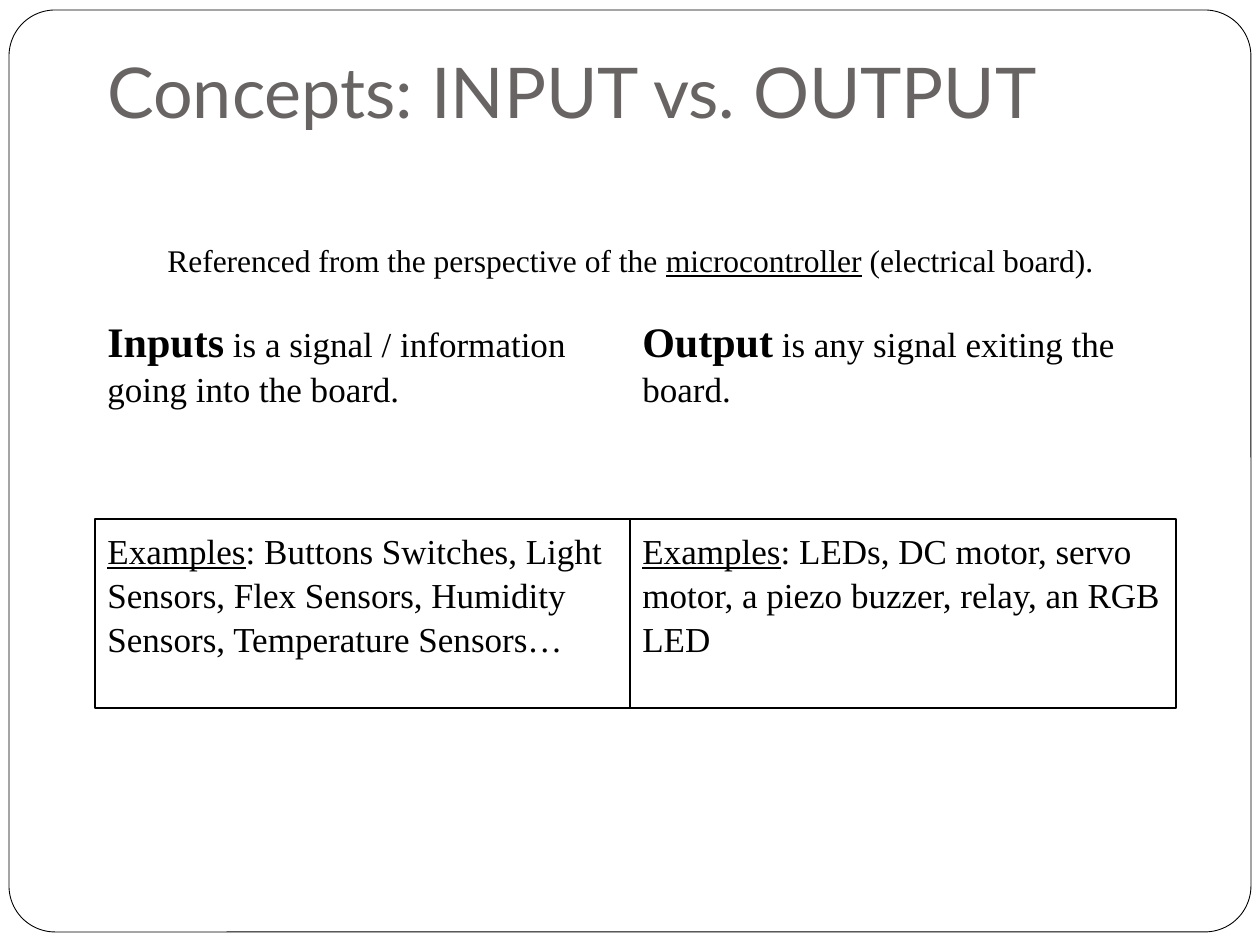
from pptx import Presentation
from pptx.dml.color import RGBColor
from pptx.enum.shapes import MSO_SHAPE
from pptx.enum.text import MSO_ANCHOR, PP_ALIGN
from pptx.util import Emu, Pt

PX = 914400 // 126
COLORS = {"title": "696464", "text": "000000", "line": "000000", "paper": "FFFFFF"}
SERIF = "Times New Roman"

# Content: runs of (text, format)
TITLE = [("Concepts: INPUT vs. OUTPUT", {"size": Pt(40), "name": "Lato"})]
INTRO = [
    ("Referenced from the perspective of the ", {"size": Pt(18)}),
    ("microcontroller", {"size": Pt(18), "underline": True}),
    (" (electrical board).", {"size": Pt(18)}),
]
# Columns: (term, definition, examples)
COLUMNS = [
    ("Inputs", " is a signal / information going into the board.",
     ": Buttons Switches, Light Sensors, Flex Sensors, Humidity Sensors, "
     "Temperature Sensors…"),
    ("Output", " is any signal exiting the board.",
     ": LEDs, DC motor, servo motor, a piezo buzzer, relay, an RGB LED"),
]

# Layout in px
LEFT, BODY_W = 95, 1071
COL_WIDTHS = (535, 546)
DEFINITION_Y, EXAMPLES_Y, ROW_H = 305, 519, 189


def rgb(key):
    return RGBColor.from_string(COLORS[key])


def px(*values):
    return [Emu(v * PX) for v in values]


def add_runs(s, runs, color="text", align=PP_ALIGN.LEFT, top=8, spacing=1.05):
    tf = s.text_frame
    tf.word_wrap = True
    tf.vertical_anchor = MSO_ANCHOR.TOP
    tf.margin_top = Emu(top * PX)
    p = tf.paragraphs[0]
    p.alignment = align
    p.line_spacing = spacing
    for text, fmt in runs:
        r = p.add_run()
        r.text = text
        for name, value in {"name": SERIF, **fmt}.items():
            setattr(r.font, name, value)
        r.font.color.rgb = rgb(color)


def add_box(slide, kind, box, line_width):
    s = slide.shapes.add_shape(kind, *px(*box))
    s.shadow.inherit = False
    s.line.color.rgb = rgb("line")
    s.line.width = Pt(line_width)
    return s


def main():
    prs = Presentation()
    prs.slide_width, prs.slide_height = px(1260, 945)
    slide = prs.slides.add_slide(prs.slide_layouts[6])

    # Rounded page frame
    frame = add_box(slide, MSO_SHAPE.ROUNDED_RECTANGLE, (9, 10, 1242, 922), 0.5)
    frame.adjustments[0] = 0.05
    frame.fill.solid()
    frame.fill.fore_color.rgb = rgb("paper")

    # Title and introduction
    title = slide.shapes.add_textbox(*px(LEFT, 42, BODY_W, 157))
    add_runs(title, TITLE, "title", top=6, spacing=1.0)
    intro = slide.shapes.add_textbox(*px(LEFT, 231, BODY_W, 609))
    add_runs(intro, INTRO, align=PP_ALIGN.CENTER)

    # Two columns: a definition above a bordered box of examples
    x = LEFT
    for (term, definition, examples), width in zip(COLUMNS, COL_WIDTHS):
        s = slide.shapes.add_textbox(*px(x, DEFINITION_Y, width, ROW_H))
        add_runs(s, [(term, {"size": Pt(24), "bold": True}),
                     (definition, {"size": Pt(20)})])
        s = add_box(slide, MSO_SHAPE.RECTANGLE, (x, EXAMPLES_Y, width, ROW_H), 0.75)
        s.fill.background()
        add_runs(s, [("Examples", {"size": Pt(20), "underline": True}),
                     (examples, {"size": Pt(20)})])
        x += width

    prs.save("out.pptx")


if __name__ == "__main__":
    main()
